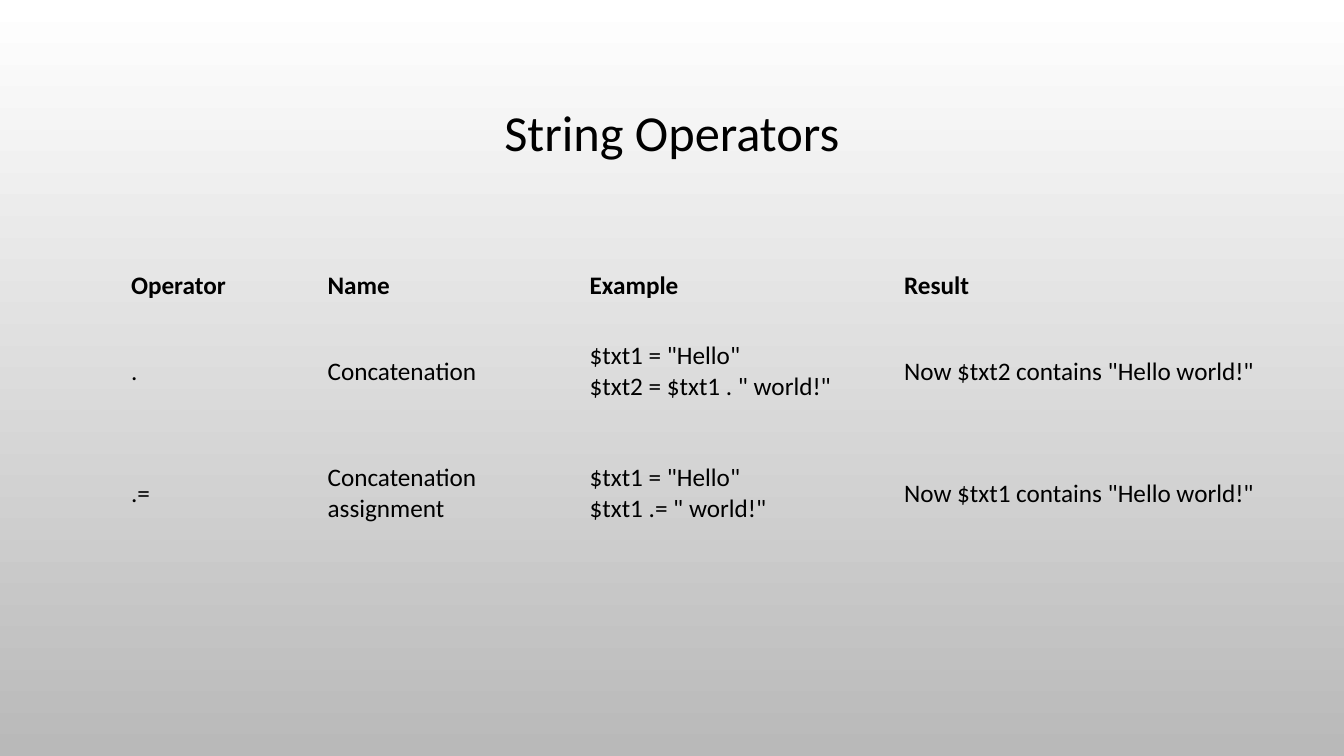
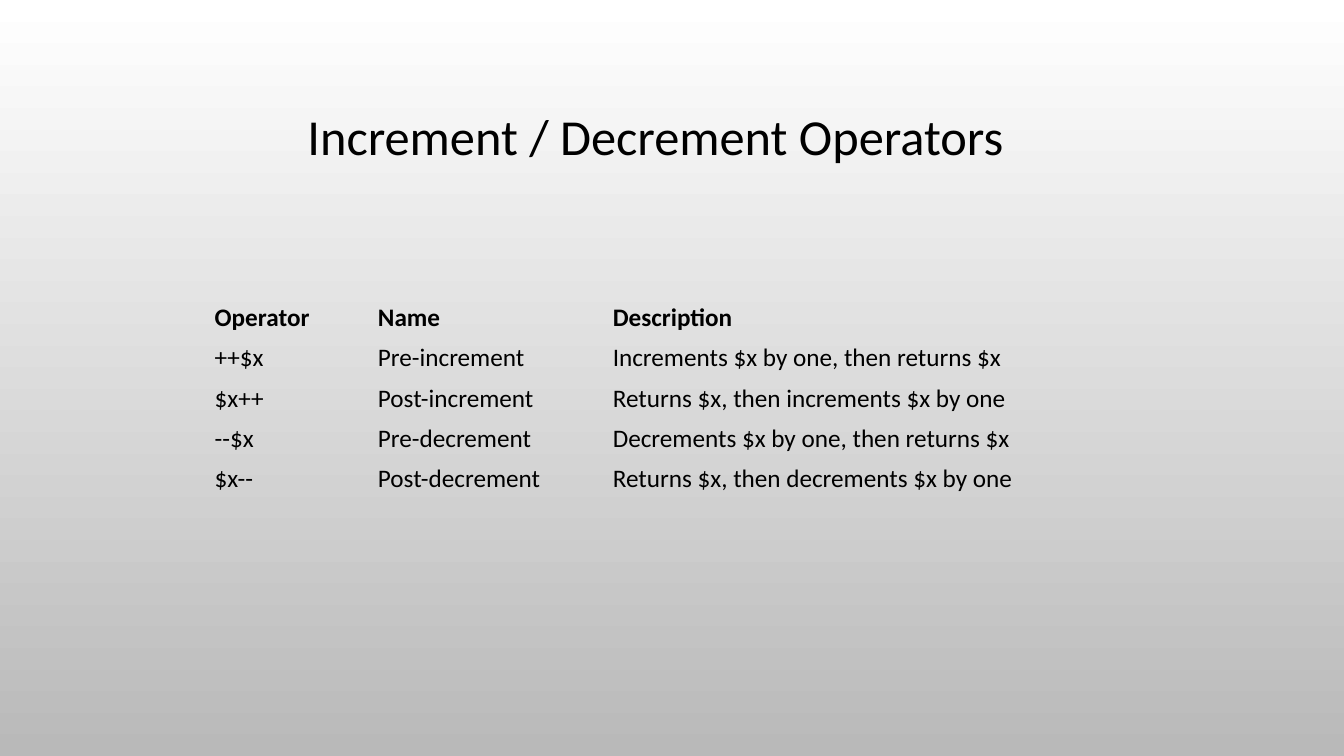
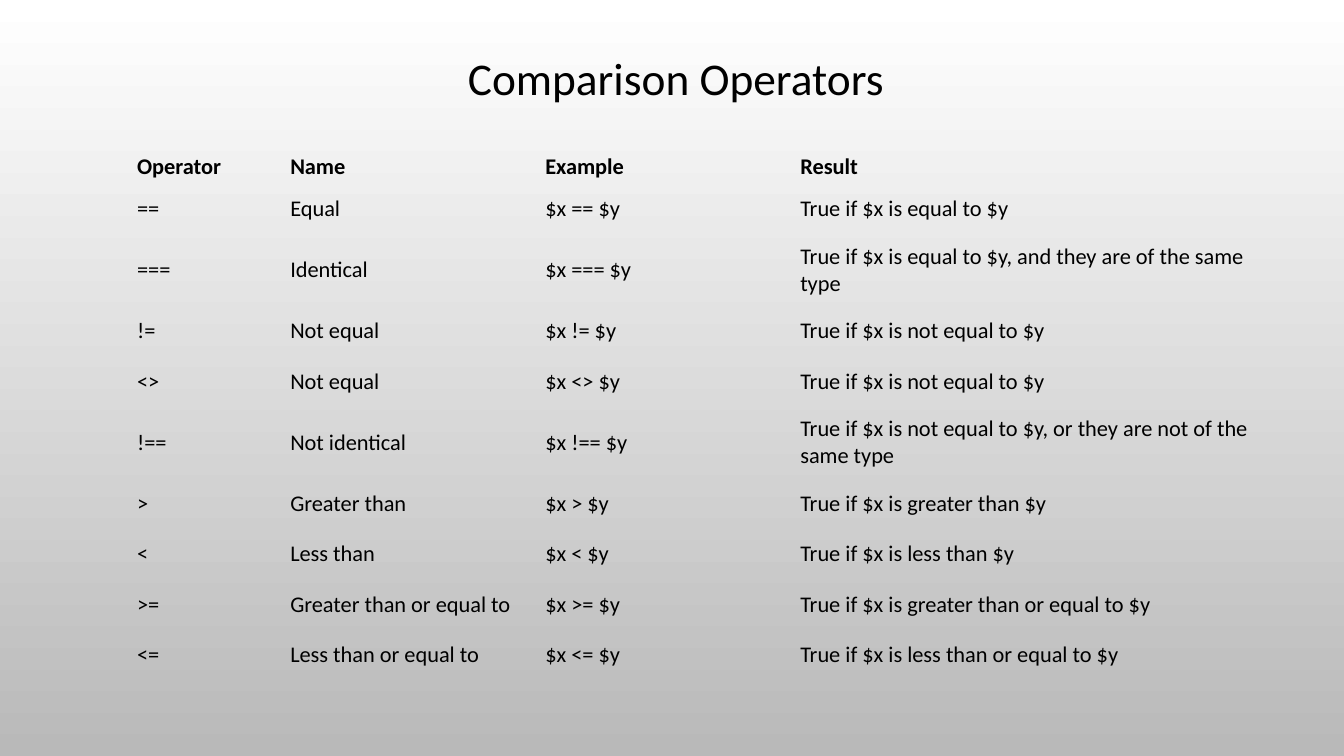
"""Three slides of operator tables on a shared grey fade."""
from dataclasses import dataclass

from pptx import Presentation as Deck
from pptx.dml.color import RGBColor as Color
from pptx.enum.text import MSO_ANCHOR as Anchor, PP_ALIGN as Align
from pptx.util import Pt


@dataclass(frozen=True)
class Theme:
    """Hold the colours, font and sizes that the slides share."""
    ink: str = "000000"
    top: str = "FFFFFF"
    base: str = "B9B9B9"
    font: str = "Calibri"
    title: float = 36
    title_small: float = 32.4
    body: float = 18
    body_small: float = 16
    plain: str = "{2D5ABB26-0587-4C30-8999-92F81FD0307C}"


THEME = Theme()


def write(frame, text, size, bold=False, align=Align.LEFT, space=None):
    """Put formatted text in a text frame."""
    para = frame.paragraphs[0]
    para.text = text
    para.alignment = align
    para.line_spacing = space
    for run in para.runs:
        run.font.name = THEME.font
        run.font.size = Pt(size)
        run.font.bold = bold
        run.font.color.rgb = Color.from_string(THEME.ink)


def paint(master):
    """Give the master its vertical fade."""
    fill = master.background.fill
    fill.gradient()
    fill.gradient_angle = 270
    for stop, shade in zip(fill.gradient_stops, (THEME.top, THEME.base)):
        stop.color.rgb = Color.from_string(shade)


def add_slide(deck):
    """Add a blank slide."""
    return deck.slides.add_slide(deck.slide_layouts[6])


def add_title(slide, text, box, size=THEME.title):
    """Add a centred title in the given box."""
    frame = slide.shapes.add_textbox(*map(Pt, box)).text_frame
    frame.word_wrap = True
    frame.vertical_anchor = Anchor.MIDDLE
    write(frame, text, size, align=Align.CENTER, space=0.9)


def add_grid(slide, rows, spot, widths, heights, size=THEME.body, inset=(7.2, 3.6)):
    """Add a clear table with a bold head row."""
    area = (*spot, sum(widths), sum(heights))
    table = slide.shapes.add_table(len(rows), len(widths), *map(Pt, area)).table
    table.first_row = table.horz_banding = False
    table._tbl.tblPr[0].text = THEME.plain
    for column, width in zip(table.columns, widths):
        column.width = Pt(width)
    for r, (row, height) in enumerate(zip(rows, heights)):
        table.rows[r].height = Pt(height)
        for c, text in enumerate(row):
            cell = table.cell(r, c)
            cell.fill.background()
            cell.vertical_anchor = Anchor.MIDDLE
            cell.margin_left = cell.margin_right = Pt(inset[0])
            cell.margin_top = cell.margin_bottom = Pt(inset[1])
            write(cell.text_frame, text, size, bold=r == 0)


def add_strings(deck):
    """Build the string operators slide."""
    slide = add_slide(deck)
    add_title(slide, "String Operators", (72, 48.96, 816, 95))
    rows = [
        ("Operator", "Name", "Example", "Result"),
        (".", "Concatenation", '$txt1 = "Hello"\n$txt2 = $txt1 . " world!"',
         'Now $txt2 contains "Hello world!"'),
        (".=", "Concatenation assignment", '$txt1 = "Hello"\n$txt1 .= " world!"',
         'Now $txt1 contains "Hello world!"'),
    ]
    add_grid(slide, rows, (86.4, 187.2), (140.4, 187.2, 224.64, 266.4),
             (34.56, 87.12, 87.12))


def add_steps(deck):
    """Build the increment and decrement slide."""
    slide = add_slide(deck)
    add_title(slide, "Increment / Decrement Operators", (146.16, 69.12, 644.4, 61.2))
    rows = [
        ("Operator", "Name", "Description"),
        ("++$x", "Pre-increment", "Increments $x by one, then returns $x"),
        ("$x++", "Post-increment", "Returns $x, then increments $x by one"),
        ("--$x", "Pre-decrement", "Decrements $x by one, then returns $x"),
        ("$x--", "Post-decrement", "Returns $x, then decrements $x by one"),
    ]
    add_grid(slide, rows, (146.16, 212.4), (116.64, 167.76, 360), [28.8] * len(rows))


def add_tests(deck):
    """Build the comparison operators slide."""
    slide = add_slide(deck)
    add_title(slide, "Comparison Operators", (160.56, 38.88, 644.4, 37.44),
              size=THEME.title_small)
    tests = [
        ("==", "Equal", "equal to $y"),
        ("===", "Identical", "equal to $y, and they are of the same type"),
        ("!=", "Not equal", "not equal to $y"),
        ("<>", "Not equal", "not equal to $y"),
        ("!==", "Not identical", "not equal to $y, or they are not of the same type"),
        (">", "Greater than", "greater than $y"),
        ("<", "Less than", "less than $y"),
        (">=", "Greater than or equal to", "greater than or equal to $y"),
        ("<=", "Less than or equal to", "less than or equal to $y"),
    ]
    rows = [("Operator", "Name", "Example", "Result")]
    rows += [(sign, name, f"$x {sign} $y", f"True if $x is {rule}")
             for sign, name, rule in tests]
    heights = [20.88] + [51.12 if "they" in rule else 36 for *_, rule in tests]
    add_grid(slide, rows, (92.16, 106.56), (109.44, 182.16, 182.16, 350.64), heights,
             size=THEME.body_small, inset=(5.76, 2.88))


def main():
    """Build and save the deck."""
    deck = Deck()
    deck.slide_width, deck.slide_height = Pt(960), Pt(540)
    paint(deck.slide_master)
    add_strings(deck)
    add_steps(deck)
    add_tests(deck)
    deck.save("out.pptx")


if __name__ == "__main__":
    main()
